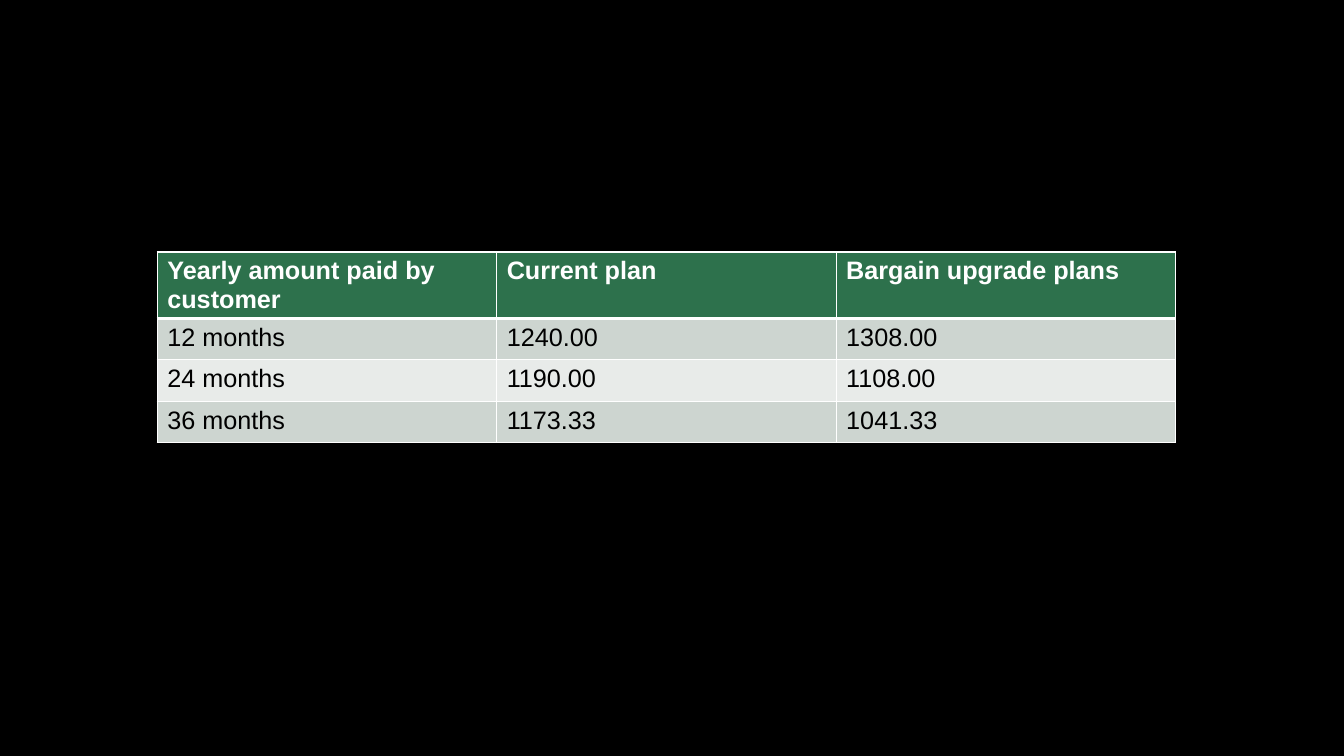
from lxml.etree import SubElement
from pptx import Presentation
from pptx.dml.color import RGBColor
from pptx.oxml.ns import qn
from pptx.util import Inches, Pt

PAYMENTS = [
    ("Yearly amount paid by customer", "Current plan", "Bargain upgrade plans"),
    ("12 months", "1240.00", "1308.00"),
    ("24 months", "1190.00", "1108.00"),
    ("36 months", "1173.33", "1041.33"),
]
HEADER_FILL = "2D714C"
BAND_FILLS = ("E8EBE9", "CDD5D0")
BORDER_COLOUR = "FFFFFF"


def colour(hex_value):
    return RGBColor.from_string(hex_value)


def set_borders(cell, widths):
    properties = cell._tc.get_or_add_tcPr()
    for position, (side, width) in enumerate(widths.items()):
        border = SubElement(properties, qn(f"a:{side}"), w=str(Pt(width)))
        line_fill = SubElement(border, qn("a:solidFill"))
        SubElement(line_fill, qn("a:srgbClr"), val=BORDER_COLOUR)
        properties.insert(position, border)


def format_cell(cell, wording, row):
    is_header = row == 0
    cell.text = wording
    cell.fill.solid()
    cell.fill.fore_color.rgb = colour(HEADER_FILL if is_header else BAND_FILLS[row % 2])
    font = cell.text_frame.paragraphs[0].runs[0].font
    for name, value in {"name": "Arial", "size": Pt(18), "bold": is_header}.items():
        setattr(font, name, value)
    font.color.rgb = colour("FFFFFF" if is_header else "000000")
    set_borders(cell, {
        "lnL": 1,
        "lnR": 1,
        "lnT": 3 if row == 1 else 1,
        "lnB": 3 if is_header else 1,
    })


def add_payment_table(slide, left, top, width, row_height):
    payments = slide.shapes.add_table(
        len(PAYMENTS), len(PAYMENTS[0]),
        Inches(left), Inches(top), Inches(width), Inches(row_height * len(PAYMENTS)),
    ).table
    for row, entries in enumerate(PAYMENTS):
        payments.rows[row].height = Inches(row_height)
        for column, wording in enumerate(entries):
            format_cell(payments.cell(row, column), wording, row)


def main():
    presentation = Presentation()
    presentation.slide_width = Inches(13.33)
    presentation.slide_height = Inches(7.5)
    slide = presentation.slides.add_slide(presentation.slide_layouts[6])
    slide.background.fill.solid()
    slide.background.fill.fore_color.rgb = colour("000000")
    add_payment_table(slide, 1.56, 2.5, 10.1, 0.41)
    presentation.save("out.pptx")


if __name__ == "__main__":
    main()
